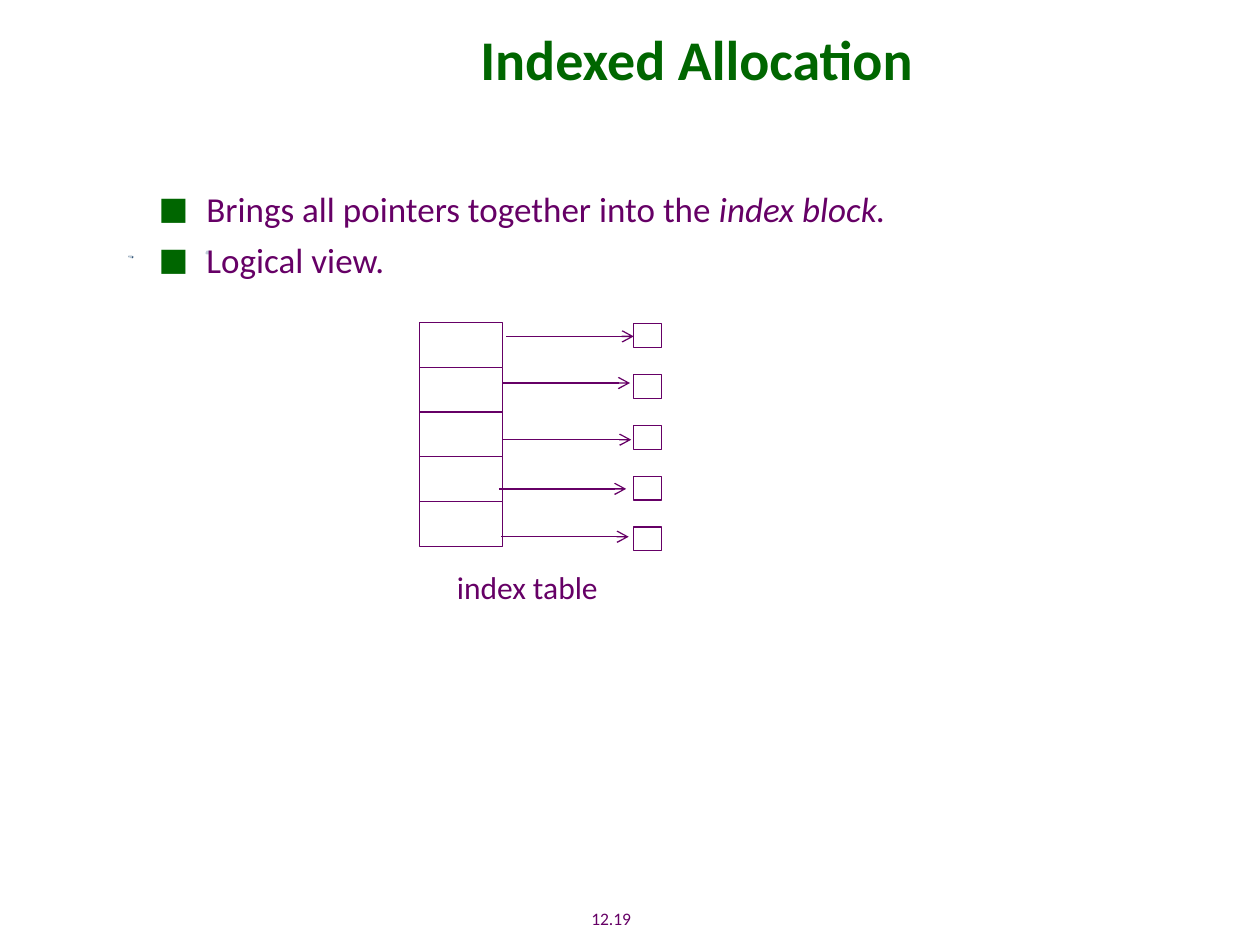
from lxml import etree
from pptx import Presentation
from pptx.dml.color import RGBColor
from pptx.enum import shapes, text
from pptx.oxml.ns import qn
from pptx.util import Inches, Pt

PURPLE, GREEN, WHITE = "660066", "006600", "FFFFFF"
NAVY, PALE = "284C70", "BFCCD8"
FONT = "Calibri"


def color(hex_value):
    return RGBColor.from_string(hex_value)


def style_run(run, size, hex_value, bold=False, italic=False):
    font = run.font
    font.name, font.size = FONT, Pt(size)
    font.bold, font.italic = bold, italic
    font.color.rgb = color(hex_value)


def add_box(slide, left, top, width, height, line=PURPLE):
    box = slide.shapes.add_shape(
        shapes.MSO_SHAPE.RECTANGLE,
        Inches(left), Inches(top), Inches(width), Inches(height))
    box.shadow.inherit = False
    box.fill.solid()
    box.fill.fore_color.rgb = color(WHITE)
    box.line.color.rgb = color(line)
    box.line.width = Pt(0.75)


def add_speck(slide, points, fill):
    outline = [(Inches(x), Inches(y)) for x, y in points]
    builder = slide.shapes.build_freeform(*outline[0])
    builder.add_line_segments(outline[1:], close=True)
    speck = builder.convert_to_shape()
    speck.shadow.inherit = False
    speck.fill.solid()
    speck.fill.fore_color.rgb = color(fill)
    speck.line.fill.background()


def add_arrow(slide, left, right, y):
    arrow = slide.shapes.add_connector(
        shapes.MSO_CONNECTOR.STRAIGHT,
        Inches(left), Inches(y), Inches(right), Inches(y))
    arrow.line.color.rgb = color(PURPLE)
    arrow.line.width = Pt(0.75)
    etree.SubElement(arrow.line._get_or_add_ln(), qn("a:tailEnd"), type="arrow")
    etree.SubElement(arrow._element.spPr, qn("a:effectLst"))


def add_label(slide, left, top, width, height, words, size,
              hex_value=PURPLE, bold=False, before=0, wrap=False):
    frame = slide.shapes.add_textbox(
        Inches(left), Inches(top), Inches(width), Inches(height)).text_frame
    frame.word_wrap = wrap
    frame.vertical_anchor = text.MSO_ANCHOR.MIDDLE
    frame.text = words
    paragraph = frame.paragraphs[0]
    paragraph.alignment = text.PP_ALIGN.CENTER
    paragraph.space_before = Pt(before)
    style_run(paragraph.runs[0], size, hex_value, bold)


def add_square_bullet(paragraph):
    props = paragraph._p.get_or_add_pPr()
    props.set("marL", str(Inches(0.38)))
    props.set("indent", str(Inches(-0.38)))
    bullet_color = etree.SubElement(props, qn("a:buClr"))
    etree.SubElement(bullet_color, qn("a:srgbClr"), val=GREEN)
    etree.SubElement(props, qn("a:buSzPct"), val="90000")
    etree.SubElement(props, qn("a:buFont"), typeface=FONT)
    etree.SubElement(props, qn("a:buChar"), char="■")


def add_bullets(slide, left, top, width, height, points):
    frame = slide.shapes.add_textbox(
        Inches(left), Inches(top), Inches(width), Inches(height)).text_frame
    frame.word_wrap = True
    frame.margin_top = 0
    for number, pieces in enumerate(points):
        paragraph = frame.add_paragraph() if number else frame.paragraphs[0]
        paragraph.space_before = Pt(5)
        add_square_bullet(paragraph)
        for words, italic in pieces:
            run = paragraph.add_run()
            run.text = words
            style_run(run, 20, PURPLE, italic=italic)


def main():
    deck = Presentation()
    deck.slide_width, deck.slide_height = Inches(10), Inches(7.5)
    slide = deck.slides.add_slide(deck.slide_layouts[6])

    # Page frame, page number and small decorative specks
    add_box(slide, 0, 0, 10, 7.5, line=WHITE)
    add_label(slide, 4.34, 7.14, 1.02, 0.3, "12.19", 10, before=6.2)
    add_speck(slide, [(1.03, 2.04), (1.05, 2.05), (1.06, 2.04), (1.05, 2.03),
                      (1.03, 2.03), (1.02, 2.03), (1.02, 2.04)], NAVY)
    add_speck(slide, [(1.04, 2.03), (1.02, 2.03), (1.02, 2.04), (1.03, 2.04),
                      (1.04, 2.05), (1.05, 2.04), (1.05, 2.03)], PALE)
    add_speck(slide, [(1.66, 2.02), (1.64, 2.02), (1.63, 2.01), (1.64, 1.99),
                      (1.66, 1.99), (1.67, 2), (1.67, 2.01)], PALE)

    # Title and bullets
    add_label(slide, 1.28, 0, 8.5, 0.92, "Indexed Allocation", 32,
              GREEN, bold=True, wrap=True)
    add_bullets(slide, 1.16, 1.49, 7.69, 0.93, [
        [("Brings all pointers together into the ", False),
         ("index block.", True)],
        [("Logical view.", False)],
    ])

    # Index table entries, then the blocks they point to
    for row in range(5):
        add_box(slide, 3.33, 2.56 + 0.355 * row, 0.66, 0.36)
    for row in range(5):
        add_box(slide, 5.03, 2.57 + 0.403 * row, 0.22, 0.19)

    # Pointers
    for left, right, y in [(4.02, 5.03, 2.67), (3.99, 5, 3.04),
                           (3.99, 5.01, 3.49), (3.96, 4.97, 3.88),
                           (3.98, 4.99, 4.26)]:
        add_arrow(slide, left, right, y)
    add_label(slide, 3.48, 4.46, 1.41, 0.4, "index table", 18, before=11.2)

    deck.save("out.pptx")


if __name__ == "__main__":
    main()
